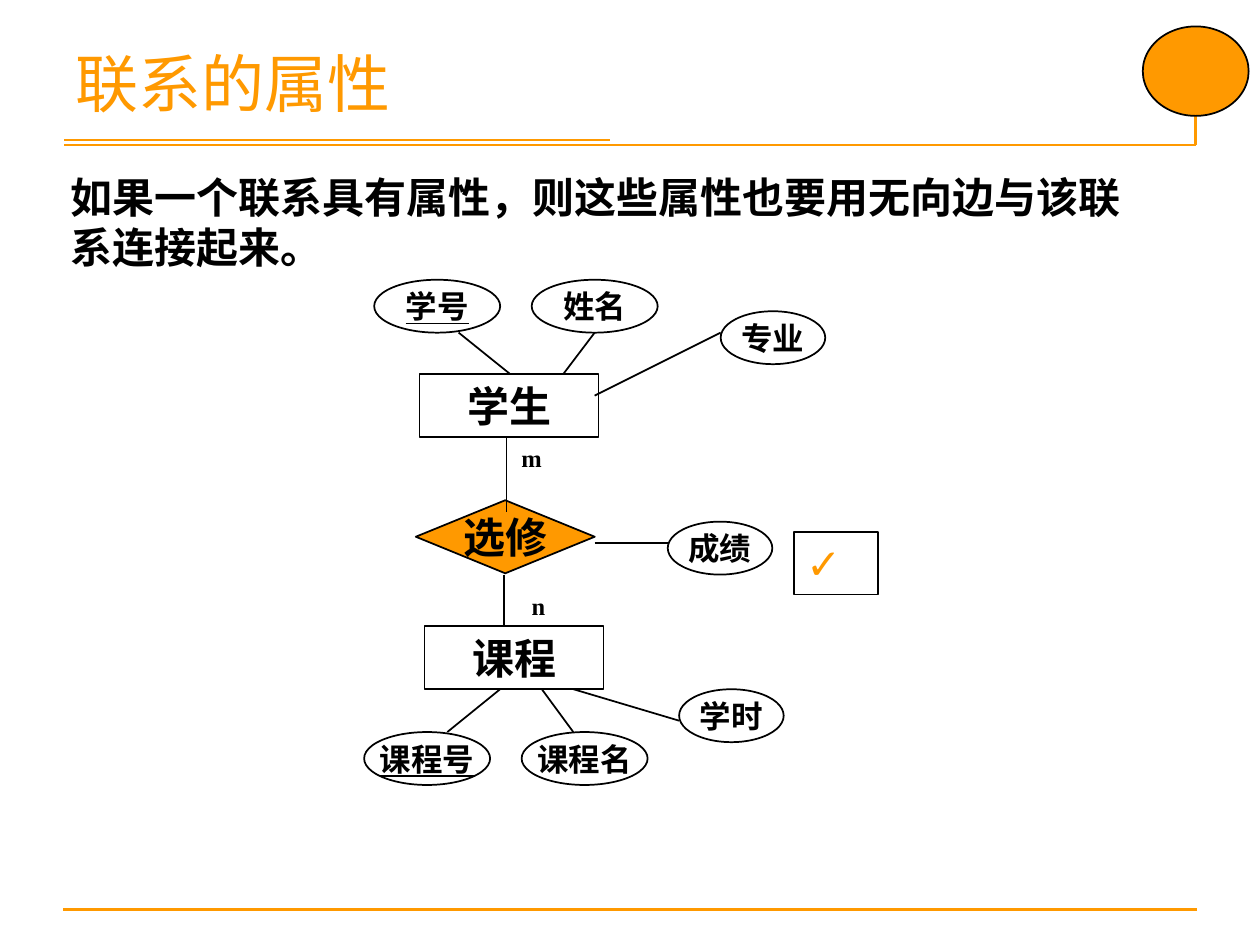
from collections import namedtuple
from dataclasses import dataclass

from lxml import etree
from pptx import Presentation
from pptx.dml.color import RGBColor
from pptx.enum.shapes import MSO_CONNECTOR, MSO_SHAPE
from pptx.enum.text import MSO_ANCHOR, PP_ALIGN
from pptx.oxml.ns import qn
from pptx.util import Inches, Pt

STRAIGHT = MSO_CONNECTOR.STRAIGHT
RECTANGLE, ELLIPSE = MSO_SHAPE.RECTANGLE, MSO_SHAPE.OVAL
DIAMOND = MSO_SHAPE.FLOWCHART_DECISION
TOP, MIDDLE = MSO_ANCHOR.TOP, MSO_ANCHOR.MIDDLE
LEFT, CENTER = PP_ALIGN.LEFT, PP_ALIGN.CENTER

Box = namedtuple("Box", "left top width height")


@dataclass(frozen=True)
class Theme:
    orange: RGBColor = RGBColor(0xFF, 0x99, 0x00)
    black: RGBColor = RGBColor(0, 0, 0)
    serif: str = "Times New Roman"
    sans: str = "Arial"
    title: int = 36
    body: int = 24
    attribute: int = 18
    label: int = 14
    rule: float = 1.5
    outline: float = 1


THEME = Theme()
ENTITY_SIZE = (1.42, 0.5)
WIDE, NARROW = 1, 0.83
ATTRIBUTE_HEIGHT = 0.42


def place(box, left, top, width, height):
    """Turn offsets inside a box into a position on the page."""
    return Box(box.left + left, box.top + top, width, height)


def write(shape, text, size, font=THEME.serif, color=THEME.black, bold=True,
          underline=False, align=CENTER, anchor=MIDDLE, wrap=False):
    frame = shape.text_frame
    frame.text = text
    frame.word_wrap = wrap
    frame.vertical_anchor = anchor
    para = frame.paragraphs[0]
    para.alignment = align
    span = para.runs[0].font
    span.size, span.name = Pt(size), font
    span.bold, span.underline = bold, underline
    span.color.rgb = color


def add_text(page, box, text, size, **style):
    shape = page.shapes.add_textbox(*map(Inches, box))
    write(shape, text, size, align=LEFT, anchor=TOP, wrap=True, **style)


def add_outlined(page, kind, box, fill=None):
    shape = page.shapes.add_shape(kind, *map(Inches, box))
    shape.shadow.inherit = False
    if fill is None:
        shape.fill.background()
    else:
        shape.fill.solid()
        shape.fill.fore_color.rgb = fill
    shape.line.color.rgb = THEME.black
    shape.line.width = Pt(THEME.outline)
    return shape


def add_node(page, kind, box, text, size, fill=None, **style):
    write(add_outlined(page, kind, box, fill), text, size, **style)


def add_line(page, box, x1, y1, x2, y2, color=THEME.black, width=THEME.outline):
    ends = (box.left + x1, box.top + y1, box.left + x2, box.top + y2)
    line = page.shapes.add_connector(STRAIGHT, *map(Inches, ends))
    line.line.color.rgb = color
    line.line.width = Pt(width)
    etree.SubElement(line._element.spPr, qn("a:effectLst"))


def add_attribute(page, box, left, top, width, text, underline=False):
    add_node(page, ELLIPSE, place(box, left, top, width, ATTRIBUTE_HEIGHT),
             text, THEME.attribute, underline=underline)


def draw_frame(page, box):
    """Rules around the page and a plain ellipse in the corner."""
    rules = [
        (0.5, 7.22, 9.5, 7.22),
        (0.51, 1.15, 9.49, 1.15),
        (9.49, 0.28, 9.49, 1.15),
        (0.51, 1.11, 4.84, 1.11),
    ]
    for rule in rules:
        add_line(page, box, *rule, color=THEME.orange, width=THEME.rule)
    add_outlined(page, ELLIPSE, place(box, 9.07, 0.21, 0.84, 0.71), THEME.orange)


def draw_entity(page, box, name, left, top, attributes, links):
    """An entity with its attributes; the first attribute is the key."""
    add_node(page, RECTANGLE, place(box, left, top, *ENTITY_SIZE), name,
             THEME.body, anchor=TOP, wrap=True)
    for index, attribute in enumerate(attributes):
        add_attribute(page, box, *attribute, underline=index == 0)
    for link in links:
        add_line(page, box, *link)


def draw_relationship(page, box):
    """The diamond, its links and cardinalities, and its own attribute."""
    add_node(page, DIAMOND, place(box, 0, 0.5, 1.42, 0.58), "选修", THEME.body,
             fill=THEME.orange)
    links = [(0.72, 0, 0.72, 0.59), (0.7, 1.09, 0.7, 1.5), (1.42, 0.84, 2, 0.84)]
    for link in links:
        add_line(page, box, *link)
    add_text(page, place(box, 0.74, 0, 0.33, 0.34), "m", THEME.label)
    add_text(page, place(box, 0.82, 1.17, 0.25, 0.34), "n", THEME.label)
    add_attribute(page, box, 2, 0.67, NARROW, "成绩")
    add_node(page, RECTANGLE, place(box, 3, 0.75, 0.67, 0.5), "✓", THEME.body,
             font=THEME.sans, color=THEME.orange, align=LEFT, anchor=TOP,
             wrap=True)


def main():
    deck = Presentation()
    deck.slide_width, deck.slide_height = Inches(10), Inches(7.5)
    page = deck.slides.add_slide(deck.slide_layouts[6])

    # Frame, title and statement
    draw_frame(page, Box(0, 0, 10, 7.5))
    add_text(page, Box(0.5, 0.3, 9, 0.85), "联系的属性", THEME.title,
             color=THEME.orange, bold=False)
    add_text(page, Box(0.46, 1.31, 8.64, 0.9),
             "如果一个联系具有属性，则这些属性也要用无向边与该联系连接起来。",
             THEME.body, font=THEME.sans)

    # Entity-relationship diagram
    draw_entity(
        page, Box(2.97, 2.22, 3.58, 1.25), "学生", 0.36, 0.75,
        attributes=[(0, 0, WIDE, "学号"), (1.25, 0, WIDE, "姓名"),
                    (2.75, 0.25, NARROW, "专业")],
        links=[(0.67, 0.42, 1.08, 0.75), (1.75, 0.42, 1.5, 0.75),
               (1.75, 0.92, 2.75, 0.42)])
    draw_entity(
        page, Box(2.89, 4.97, 3.33, 1.26), "课程", 0.48, 0,
        attributes=[(0, 0.84, WIDE, "课程号"), (1.25, 0.84, WIDE, "课程名"),
                    (2.5, 0.5, NARROW, "学时")],
        links=[(1.08, 0.5, 0.66, 0.84), (1.41, 0.5, 1.66, 0.84),
               (1.66, 0.5, 2.5, 0.75)])
    draw_relationship(page, Box(3.3, 3.47, 3.67, 1.5))

    deck.save("out.pptx")


if __name__ == "__main__":
    main()
